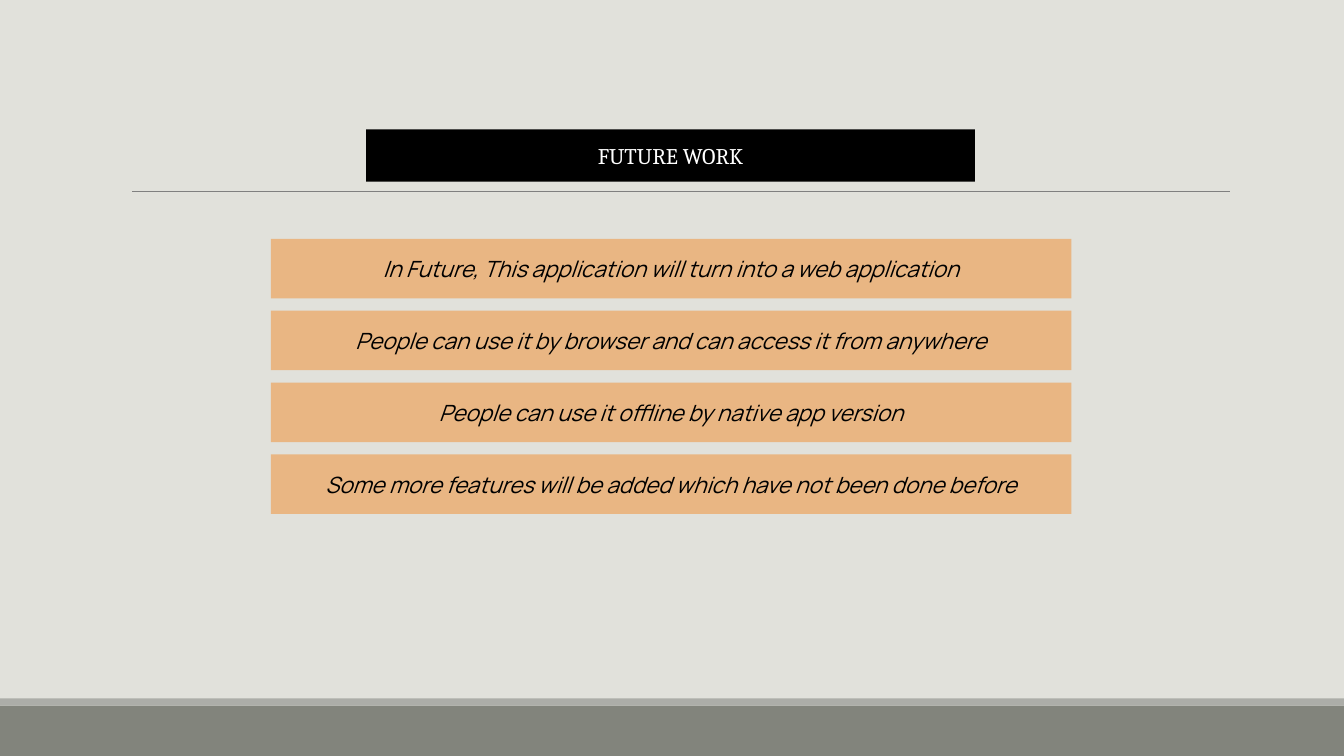
from dataclasses import dataclass

from lxml import etree
from pptx import Presentation
from pptx.dml.color import RGBColor
from pptx.enum import shapes, text
from pptx.oxml.ns import qn
from pptx.slide import Slide
from pptx.util import Cm, Pt


@dataclass(frozen=True)
class Theme:
    background: str = "E1E1DB"
    footer: str = "82847C"
    footer_edge: str = "ACADA8"
    rule: str = "808080"
    title_fill: str = "000000"
    title_text: str = "FFFFFF"
    bar_fill: str = "E9B683"
    bar_text: str = "000000"
    title_font: str = "Cambria"
    bar_font: str = "Manrope"
    text_size: float = 16
    rule_width: float = 0.5


@dataclass(frozen=True)
class Block:
    """A filled rectangle, measured in centimetres, with optional text."""
    left: float
    top: float
    width: float
    height: float
    fill: str
    words: str = ""
    font: str = ""
    color: str = ""
    italic: bool = False


THEME = Theme()
SLIDE_WIDTH, SLIDE_HEIGHT = 33.87, 19.05
BAR_LEFT, BAR_TOP, BAR_WIDTH, BAR_HEIGHT = 6.83, 6.02, 20.17, 1.5
BAR_PITCH = 1.81
PLANS = (
    "In Future, This application will turn into a web application",
    "People can use it by browser and can access it from anywhere",
    "People can use it offline by native app version",
    "Some more features will be added which have not been done before",
)


def draw_block(page: Slide, block: Block) -> None:
    box = page.shapes.add_shape(
        shapes.MSO_SHAPE.RECTANGLE,
        Cm(block.left), Cm(block.top), Cm(block.width), Cm(block.height),
    )
    box.shadow.inherit = False
    box.fill.solid()
    box.fill.fore_color.rgb = RGBColor.from_string(block.fill)
    box.line.fill.background()
    if not block.words:
        return
    frame = box.text_frame
    frame.word_wrap = True
    frame.vertical_anchor = text.MSO_ANCHOR.MIDDLE
    para = frame.paragraphs[0]
    para.text = block.words
    para.alignment = text.PP_ALIGN.CENTER
    para.font.name = block.font
    para.font.size = Pt(THEME.text_size)
    para.font.italic = block.italic
    para.font.color.rgb = RGBColor.from_string(block.color)


def draw_title_rule(page: Slide) -> None:
    rule = page.shapes.add_connector(
        shapes.MSO_CONNECTOR.STRAIGHT, Cm(3.33), Cm(4.82), Cm(31), Cm(4.82)
    )
    rule.line.color.rgb = RGBColor.from_string(THEME.rule)
    rule.line.width = Pt(THEME.rule_width)
    etree.SubElement(rule._element.spPr, qn("a:effectLst"))


def main() -> None:
    deck = Presentation()
    deck.slide_width, deck.slide_height = Cm(SLIDE_WIDTH), Cm(SLIDE_HEIGHT)
    page = deck.slides.add_slide(deck.slide_layouts[6])
    page.background.fill.solid()
    page.background.fill.fore_color.rgb = RGBColor.from_string(THEME.background)

    draw_block(page, Block(0, 17.78, SLIDE_WIDTH, 1.27, THEME.footer))
    draw_block(page, Block(0, 17.6, SLIDE_WIDTH, 0.18, THEME.footer_edge))
    draw_title_rule(page)
    draw_block(page, Block(9.23, 3.26, 15.34, 1.32, THEME.title_fill,
                           "FUTURE WORK", THEME.title_font, THEME.title_text))
    for row, plan in enumerate(PLANS):
        draw_block(page, Block(BAR_LEFT, BAR_TOP + row * BAR_PITCH,
                               BAR_WIDTH, BAR_HEIGHT, THEME.bar_fill,
                               plan, THEME.bar_font, THEME.bar_text, italic=True))
    deck.save("out.pptx")


if __name__ == "__main__":
    main()
